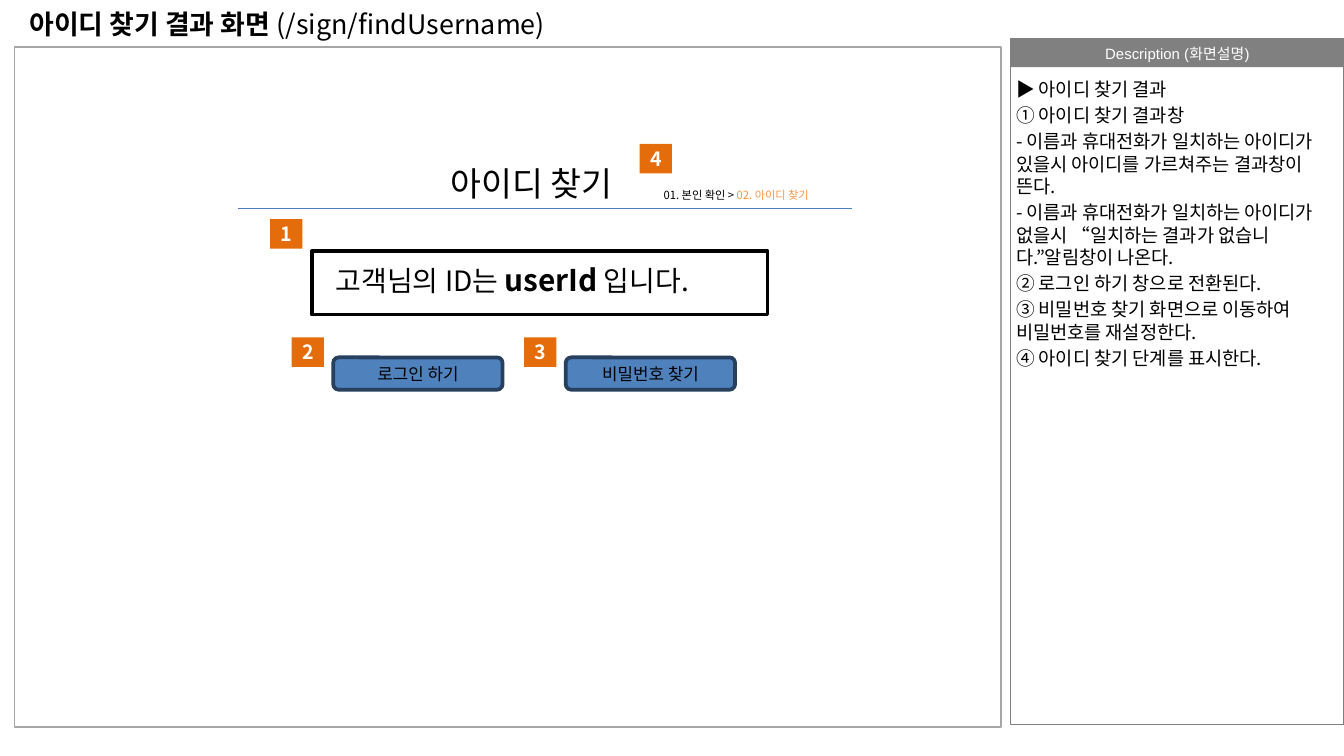
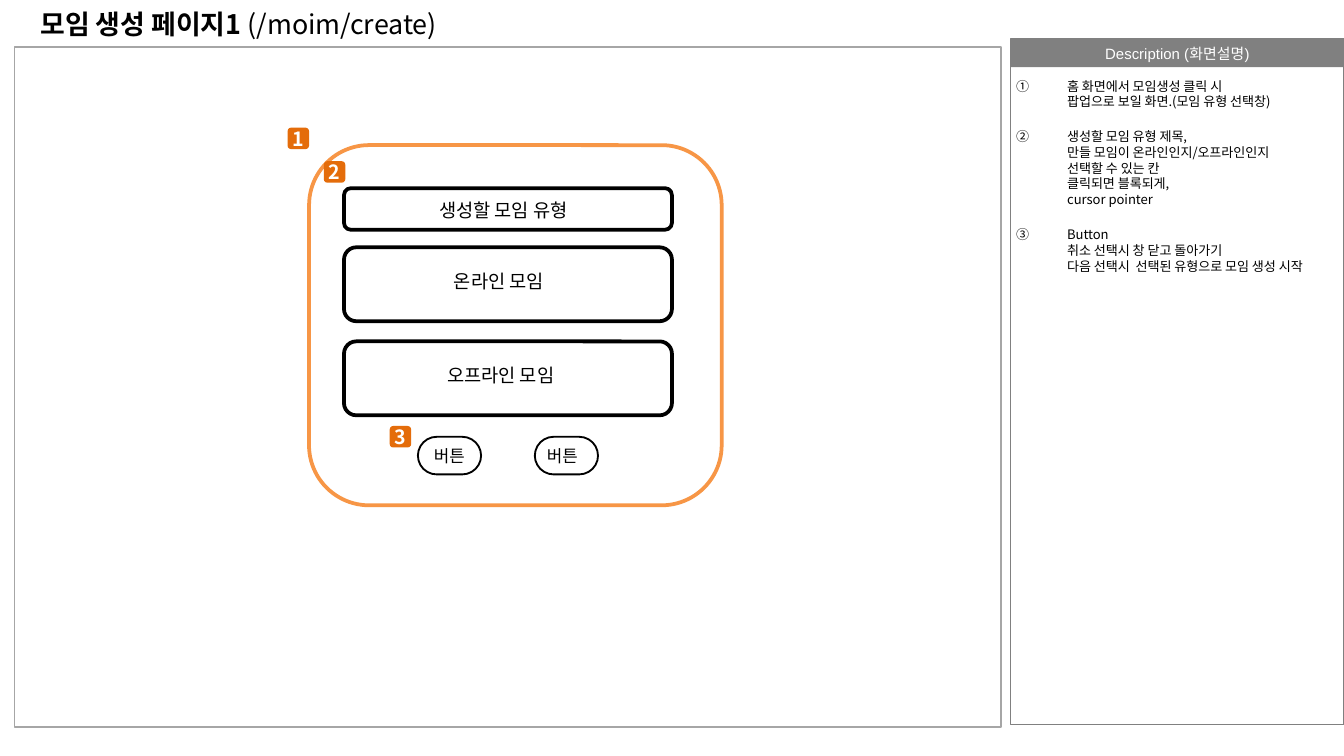
"""Build two annotated screen-plan slides with a shared frame and description panel."""
from dataclasses import dataclass
from typing import Optional

from lxml import etree
from pptx import Presentation
from pptx.dml.color import RGBColor
from pptx.enum.shapes import MSO_CONNECTOR, MSO_SHAPE
from pptx.enum.text import MSO_ANCHOR, MSO_AUTO_SIZE, PP_ALIGN
from pptx.oxml.ns import qn
from pptx.util import Inches, Pt

RECT, ROUND = MSO_SHAPE.RECTANGLE, MSO_SHAPE.ROUNDED_RECTANGLE
STRAIGHT = MSO_CONNECTOR.STRAIGHT
LEFT, CENTER = PP_ALIGN.LEFT, PP_ALIGN.CENTER
TOP, MIDDLE = MSO_ANCHOR.TOP, MSO_ANCHOR.MIDDLE
FIXED = MSO_AUTO_SIZE.NONE

BLACK = RGBColor(0x00, 0x00, 0x00)
WHITE = RGBColor(0xFF, 0xFF, 0xFF)
GRAY = RGBColor(0x80, 0x80, 0x80)
SILVER = RGBColor(0xA6, 0xA6, 0xA6)
BLUE = RGBColor(0x4F, 0x81, 0xBD)
NAVY = RGBColor(0x27, 0x40, 0x5E)
RULE = RGBColor(0x4B, 0x7E, 0xBC)
ORANGE = RGBColor(0xF7, 0x96, 0x46)
RUST = RGBColor(0xE4, 0x6C, 0x0A)

SANS, ARIAL = "Noto Sans CJK KR", "Arial"
LEADING = 1.2


@dataclass(frozen=True)
class Area:
    """Position and size in inches."""
    x: float
    y: float
    w: float
    h: float

    def emu(self) -> tuple:
        """Return left, top, width and height as lengths."""
        return Inches(self.x), Inches(self.y), Inches(self.w), Inches(self.h)


@dataclass(frozen=True)
class Box:
    """A filled or outlined preset shape."""
    area: Area
    kind: int = RECT
    fill: Optional[RGBColor] = None
    line: Optional[RGBColor] = None
    width: float = 2
    round: Optional[float] = None


@dataclass(frozen=True)
class Piece:
    """A run that differs from its paragraph."""
    text: str
    bold: Optional[bool] = None
    size: Optional[float] = None
    color: Optional[RGBColor] = None


@dataclass(frozen=True)
class Label:
    """A one-line text box."""
    area: Area
    pieces: tuple
    size: float
    align: int = LEFT


@dataclass(frozen=True)
class Badge:
    """A numbered marker."""
    mark: str
    x: float
    y: float


def set_font(para, size: float, color=BLACK, bold=False, name=SANS) -> None:
    """Format a whole paragraph, with its East Asian face and no kerning."""
    font = para.font
    font.size, font.bold, font.name = Pt(size), bold, name
    font.color.rgb = color
    node = para._p.pPr.find(qn("a:defRPr"))
    node.set("kern", "0")
    etree.SubElement(node, qn("a:ea")).set("typeface", SANS)


def add_runs(para, pieces: tuple) -> None:
    """Write the runs of a paragraph."""
    for piece in pieces:
        run = para.add_run()
        run.text = piece.text
        if piece.bold is not None:
            run.font.bold = piece.bold
        if piece.size:
            run.font.size = Pt(piece.size)
        if piece.color is not None:
            run.font.color.rgb = piece.color


def set_frame(frame, left: float, top: float, right: float, anchor: int) -> None:
    """Set the insets and anchor of a text frame."""
    frame.word_wrap, frame.auto_size = True, FIXED
    frame.vertical_anchor = anchor
    frame.margin_left, frame.margin_right = Inches(left), Inches(right)
    frame.margin_top = frame.margin_bottom = Inches(top)


def add_box(slide, box: Box):
    """Draw a preset shape."""
    shape = slide.shapes.add_shape(box.kind, *box.area.emu())
    shape.shadow.inherit = False
    if box.round is not None:
        shape.adjustments[0] = box.round
    if box.fill is None:
        shape.fill.background()
    else:
        shape.fill.solid()
        shape.fill.fore_color.rgb = box.fill
    if box.line is None:
        shape.line.fill.background()
    else:
        shape.line.color.rgb = box.line
        shape.line.width = Pt(box.width)
    return shape


def add_label(slide, label: Label) -> None:
    """Draw a text box."""
    frame = slide.shapes.add_textbox(*label.area.emu()).text_frame
    set_frame(frame, 0.1, 0.05, 0.1 if label.align == CENTER else 0, TOP)
    para = frame.paragraphs[0]
    para.alignment = label.align
    tall = max(piece.size or label.size for piece in label.pieces)
    para.line_spacing = Pt(tall * LEADING)
    add_runs(para, label.pieces)
    set_font(para, label.size)


def add_badge(slide, badge: Badge, w: float, h: float, bend: float) -> None:
    """Draw a numbered marker."""
    area = Area(badge.x, badge.y, w, h)
    shape = add_box(slide, Box(area, ROUND, RUST, round=bend))
    set_frame(shape.text_frame, 0, 0, 0, MIDDLE)
    para = shape.text_frame.paragraphs[0]
    para.text, para.alignment = badge.mark, CENTER
    para.line_spacing = Pt(10.5 * LEADING)
    set_font(para, 10.5, WHITE, True)


def add_notes(slide, lines: list, size: float, gap: float, count: bool) -> None:
    """Fill the description panel, numbered on request."""
    body = slide.placeholders[1]
    body.left, body.top, body.width, body.height = Area(7.52, 0.53, 2.48, 4.88).emu()
    frame = body.text_frame
    set_frame(frame, 0.04, 0.05, 0.06, TOP)
    for i, line in enumerate(lines):
        para = frame.add_paragraph() if i else frame.paragraphs[0]
        para.text = line
        para.line_spacing = Pt(size * LEADING)
        para.space_before = Pt(gap if i else 0)
        props = para._p.get_or_add_pPr()
        indent = Inches(0.38) if count else 0
        props.set("marL", str(indent))
        props.set("indent", str(-indent))
        if count:
            mark = etree.SubElement(props, qn("a:buAutoNum"))
            mark.set("type", "circleNumDbPlain")
        else:
            etree.SubElement(props, qn("a:buNone"))
        set_font(para, size)


def add_page(deck, name: str, route: str, x: float):
    """Add a slide with its title, header band and frames."""
    slide = deck.slides.add_slide(deck.slide_layouts[1])
    band = add_box(slide, Box(Area(7.52, 0.29, 2.48, 0.21), fill=GRAY))
    set_frame(band.text_frame, 0.09, 0.04, 0.09, MIDDLE)
    para = band.text_frame.paragraphs[0]
    para.text, para.alignment = "Description (화면설명)", CENTER
    set_font(para, 8, WHITE, name=ARIAL)
    add_box(slide, Box(Area(7.52, 0.29, 2.48, 5.1), line=GRAY, width=0.75))
    stage = add_box(slide, Box(Area(0.11, 0.35, 7.34, 5.06), RECT, WHITE, SILVER, 0.75))
    tint = stage._element.spPr.find(qn("a:solidFill"))[0]
    etree.SubElement(tint, qn("a:alpha")).set("val", "70000")

    title = slide.shapes.title
    title.left, title.top, title.width, title.height = Area(x, 0.02, 7.44 - x, 0.32).emu()
    set_frame(title.text_frame, 0.1, 0.05, 0.1, MIDDLE)
    para = title.text_frame.paragraphs[0]
    para.alignment = LEFT
    add_runs(para, (Piece(name + " ", True), Piece(route, False)))
    set_font(para, 14.4)
    return slide


def add_find(deck) -> None:
    """Build the username result screen."""
    slide = add_page(deck, "아이디 찾기 결과 화면", "(/sign/findUsername)", 0.12)
    add_notes(slide, [
        "▶ 아이디 찾기 결과",
        "① 아이디 찾기 결과창",
        "- 이름과 휴대전화가 일치하는 아이디가 있을시 아이디를 가르쳐주는 결과창이 뜬다.",
        "- 이름과 휴대전화가 일치하는 아이디가 없을시 “일치하는 결과가 없습니다.”알림창이 나온다.",
        "② 로그인 하기 창으로 전환된다.",
        "③ 비밀번호 찾기 화면으로 이동하여 비밀번호를 재설정한다.",
        "④ 아이디 찾기 단계를 표시한다.",
    ], 10, 2, False)
    add_label(slide, Label(Area(2.91, 1.16, 2.09, 0.39), (Piece("아이디 찾기"),), 18, CENTER))

    rule = slide.shapes.add_connector(
        STRAIGHT, Inches(1.77), Inches(1.55), Inches(6.34), Inches(1.55))
    rule.line.color.rgb, rule.line.width = RULE, Pt(0.75)
    etree.SubElement(rule._element.spPr, qn("a:effectLst"))

    steps = (Piece("01. 본인 확인 > "), Piece("02. 아이디 찾기", color=ORANGE))
    add_label(slide, Label(Area(4.84, 1.35, 1.44, 0.2), steps, 6))

    add_box(slide, Box(Area(2.32, 1.87, 3.39, 0.47), RECT, WHITE, BLACK))
    reply = (Piece("고객님의 ID는 "), Piece("userId", True, 16), Piece(" 입니다."))
    add_label(slide, Label(Area(2.4, 1.9, 3.31, 0.37), reply, 15))

    for x, text in ((2.48, "로그인 하기"), (4.21, "비밀번호 찾기")):
        add_box(slide, Box(Area(x, 2.66, 1.26, 0.24), ROUND, BLUE, NAVY, round=0.167))
        add_label(slide, Label(Area(x + 0.08, 2.66, 1.1, 0.24), (Piece(text),), 9, CENTER))

    for badge in (Badge("1", 2.01, 1.63), Badge("2", 2.17, 2.51),
                  Badge("3", 3.9, 2.51), Badge("4", 4.76, 1.07)):
        add_badge(slide, badge, 0.24, 0.22, 0)


def add_group(deck) -> None:
    """Build the group creation popup."""
    slide = add_page(deck, "모임 생성 페이지1", "(/moim/create)", 0.2)
    add_notes(slide, [
        "홈 화면에서 모임생성 클릭 시\n팝업으로 보일 화면.(모임 유형 선택창)",
        "생성할 모임 유형 제목,\n만들 모임이 온라인인지/오프라인인지\n선택할 수 있는 칸\n"
        "클릭되면 블록되게,\ncursor pointer",
        "Button\n취소 선택시 창 닫고 돌아가기\n다음 선택시  선택된 유형으로 모임 생성 시작",
    ], 7, 10.5, True)
    add_box(slide, Box(Area(2.3, 1.08, 3.07, 2.68), ROUND, WHITE, ORANGE))

    for y, h, x, top, w, text in (
            (1.4, 0.31, 3.17, 1.43, 1.28, "생성할 모임 유형"),
            (1.84, 0.55, 3.28, 1.96, 1.0, "온라인 모임"),
            (2.54, 0.55, 3.23, 2.66, 1.09, "오프라인 모임")):
        add_box(slide, Box(Area(2.56, y, 2.44, h), ROUND, line=BLACK))
        add_label(slide, Label(Area(x, top, w, 0.27), (Piece(text),), 10))

    for x, left in ((3.11, 3.13), (3.98, 3.97)):
        add_box(slide, Box(Area(x, 3.25, 0.47, 0.28), ROUND, line=BLACK, width=1, round=0.5))
        add_label(slide, Label(Area(left, 3.27, 0.45, 0.25), (Piece("버튼"),), 9))

    for badge in (Badge("1", 2.14, 0.95), Badge("2", 2.41, 1.2), Badge("3", 2.9, 3.17)):
        add_badge(slide, badge, 0.16, 0.16, 0.167)


def main() -> None:
    """Create and save the deck."""
    deck = Presentation()
    deck.slide_width = Inches(10)
    deck.slide_height = Inches(10) * 9 // 16
    add_find(deck)
    add_group(deck)
    deck.save("out.pptx")


if __name__ == "__main__":
    main()
